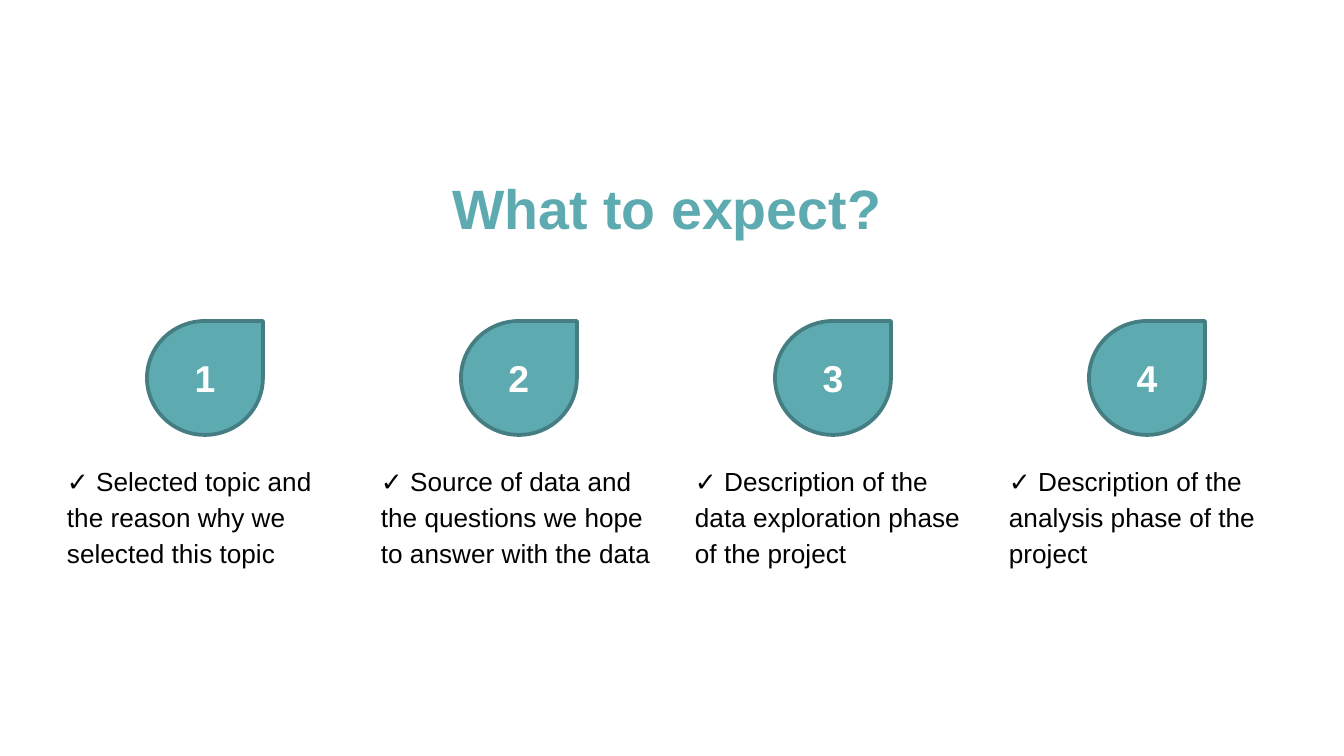
import pptx
import pptx.util
import pptx.dml.color
import pptx.enum.shapes
import pptx.enum.text

RGB = pptx.dml.color.RGBColor
TEAL = RGB(0x5D, 0xAA, 0xB0)
DARK_TEAL = RGB(0x45, 0x7E, 0x82)
BLACK = RGB(0, 0, 0)
WHITE = RGB(0xFF, 0xFF, 0xFF)

ALIGN = pptx.enum.text.PP_ALIGN
ANCHOR = pptx.enum.text.MSO_ANCHOR
FONT = "Arial"
EMU_PER_PX = 914400 / 134.4

# Four columns, each a numbered marker above its topic
COLUMN_STEP = 314
TOPICS = [
    "✓ Selected topic and the reason why we selected this topic",
    "✓ Source of data and the questions we hope to answer with the data",
    "✓ Description of the data exploration phase of the project",
    "✓ Description of the analysis phase of the project",
]


def px(n):
    return pptx.util.Emu(round(n * EMU_PER_PX))


def set_text(sp, text, size, color, bold=False, align=ALIGN.LEFT,
             anchor=ANCHOR.TOP, spacing=1.0):
    tf = sp.text_frame
    tf.text = text
    tf.word_wrap = True
    tf.auto_size = pptx.enum.text.MSO_AUTO_SIZE.NONE
    tf.vertical_anchor = anchor
    p = tf.paragraphs[0]
    p.alignment = align
    p.line_spacing = spacing
    font = p.runs[0].font
    font.name = FONT
    font.size = pptx.util.Pt(size)
    font.bold = bold
    font.color.rgb = color


def set_margins(sp, left, top, right, bottom):
    tf = sp.text_frame
    tf.margin_left, tf.margin_top = px(left), px(top)
    tf.margin_right, tf.margin_bottom = px(right), px(bottom)


def format_title(s, text):
    sp = s.shapes.title
    sp.left, sp.top, sp.width, sp.height = px(74), px(157), px(1196), px(89)
    set_text(sp, text, 29.7, TEAL, bold=True, align=ALIGN.CENTER,
             anchor=ANCHOR.BOTTOM, spacing=0.9)
    set_margins(sp, 0, 5, 10, 5)


def add_topic(s, x, text):
    sp = s.shapes.add_textbox(px(x), px(456), px(296), px(192))
    set_text(sp, text, 14, BLACK, spacing=1.15)
    set_margins(sp, 10, 5, 10, 5)


def add_marker(s, x, number):
    sp = s.shapes.add_shape(pptx.enum.shapes.MSO_SHAPE.TEAR,
                            px(x), px(321), px(116), px(114))
    sp.shadow.inherit = False
    sp.fill.solid()
    sp.fill.fore_color.rgb = TEAL
    sp.line.color.rgb = DARK_TEAL
    sp.line.width = pptx.util.Pt(2)
    set_text(sp, str(number), 20, WHITE, bold=True, align=ALIGN.CENTER,
             anchor=ANCHOR.MIDDLE)


def main():
    prs = pptx.Presentation()
    prs.slide_width, prs.slide_height = px(1344), px(756)
    s = prs.slides.add_slide(prs.slide_layouts.get_by_name("Title Only"))

    format_title(s, "What to expect?")
    for i, topic in enumerate(TOPICS):
        add_topic(s, 57 + i * COLUMN_STEP, topic)
        add_marker(s, 147 + i * COLUMN_STEP, i + 1)

    prs.save("out.pptx")


if __name__ == "__main__":
    main()
